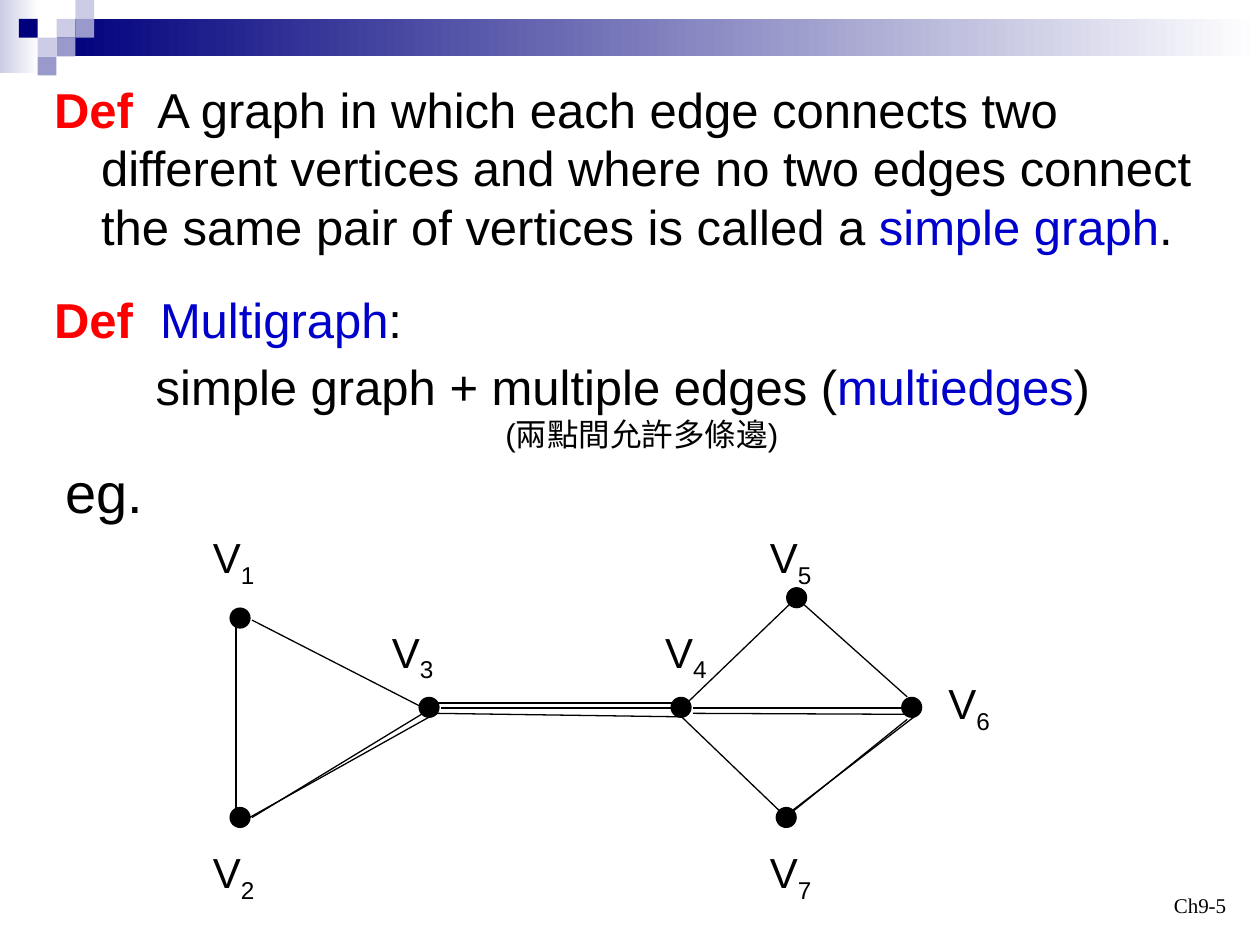
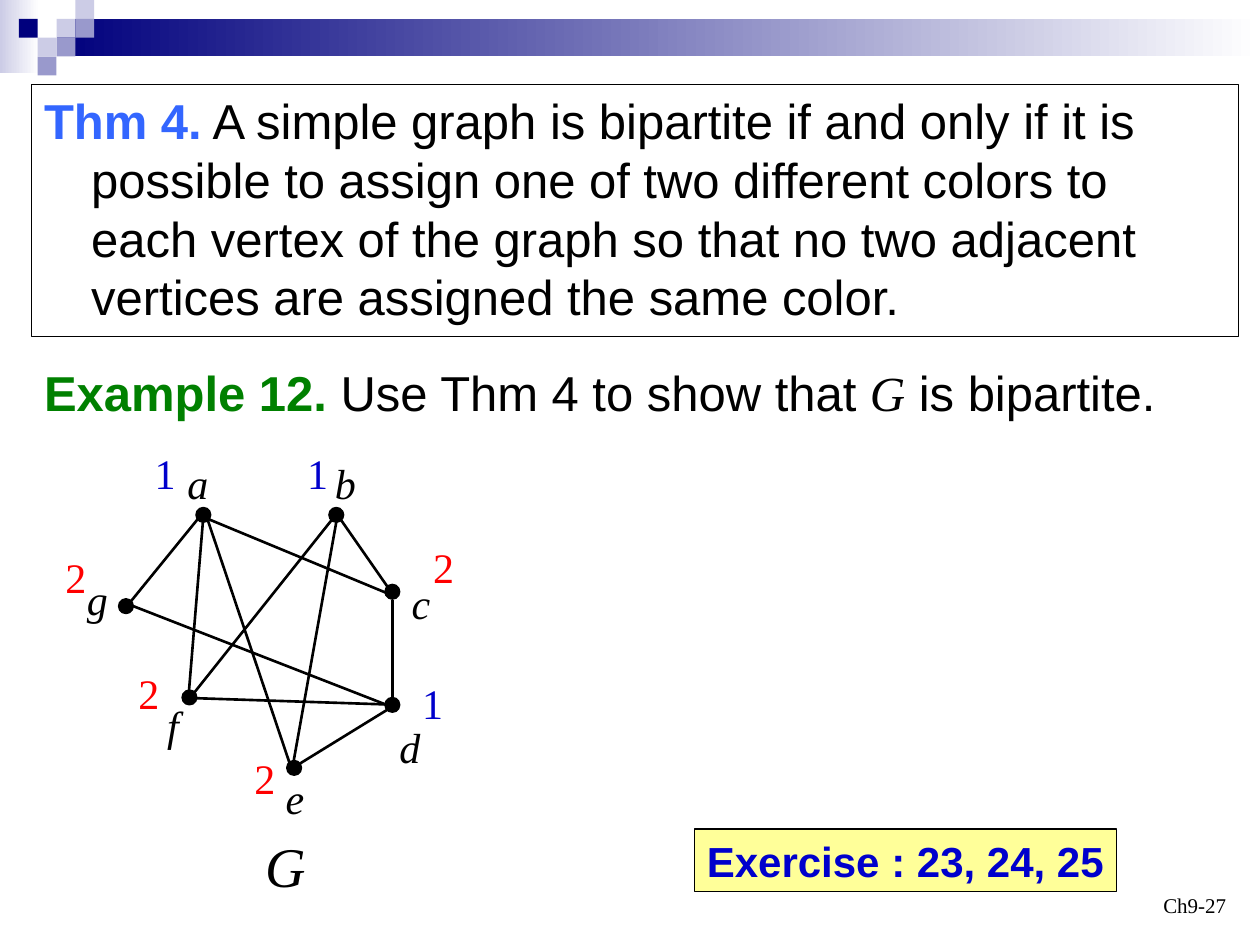
"""Build two lecture slides on multigraphs and bipartite graphs."""
from dataclasses import dataclass

from lxml.etree import SubElement
from pptx import Presentation
from pptx.dml.color import RGBColor
from pptx.enum.shapes import MSO_CONNECTOR, MSO_SHAPE
from pptx.enum.text import MSO_ANCHOR, PP_ALIGN
from pptx.oxml.ns import qn
from pptx.util import Cm, Pt


@dataclass(frozen=True)
class Theme:
    black: str = "000000"
    white: str = "FFFFFF"
    navy: str = "00007D"
    violet: str = "9999CC"
    lilac: str = "CCCCE6"
    red: str = "FF0000"
    blue: str = "0000CC"
    sky: str = "3366FF"
    green: str = "008000"
    yellow: str = "FFFF99"
    sans: str = "Arial"
    serif: str = "Times New Roman"
    large: int = 32
    body: int = 28
    label: int = 24
    remark: int = 18
    footer: int = 12
    thin: float = 0.75
    thick: float = 1.5


theme = Theme()


def add_shape(page, kind, place, fills=(), outline=None):
    """Add a preset shape with no fill, a plain fill or a two-colour gradient."""
    shape = page.shapes.add_shape(kind, *map(Cm, place))
    shape.shadow.inherit = False
    if len(fills) == 2:
        shape.fill.gradient()
        shape.fill.gradient_angle = 0
        for stop, color in zip(shape.fill.gradient_stops, fills):
            stop.color.rgb = RGBColor.from_string(color)
    elif fills:
        shape.fill.solid()
        shape.fill.fore_color.rgb = RGBColor.from_string(fills[0])
    else:
        shape.fill.background()
    if outline:
        shape.line.color.rgb = RGBColor.from_string(outline)
        shape.line.width = Pt(theme.thin)
    else:
        shape.line.fill.background()
    return shape


def write(box, paragraphs, wrap=False, **shared):
    """Fill a box with paragraphs of (text, style) spans and return them."""
    frame = box.text_frame
    frame.word_wrap = wrap
    frame.vertical_anchor = MSO_ANCHOR.TOP
    for number, spans in enumerate(paragraphs):
        para = frame.add_paragraph() if number else frame.paragraphs[0]
        para.alignment = PP_ALIGN.LEFT
        for text, own in spans:
            span = para.add_run()
            span.text = text
            style = {"size": theme.label, "face": theme.sans, "color": theme.black,
                     "bold": False, "italic": False, **shared, **own}
            font = para.font if len(spans) == 1 else span.font
            font.size = Pt(style["size"])
            font.name = style["face"]
            font.bold = style["bold"]
            font.italic = style["italic"]
            font.color.rgb = RGBColor.from_string(style["color"])
            if "baseline" in style:
                span.font._element.set("baseline", style["baseline"])
    return frame.paragraphs


deck = Presentation()
deck.slide_width, deck.slide_height = Cm(25.4), Cm(19.05)

tile = 0.38
tiles = [(3, 1, theme.lilac), (4, 0, theme.lilac), (4, 1, theme.violet),
         (2, 2, theme.lilac), (1, 1, theme.navy), (3, 2, theme.violet),
         (2, 3, theme.violet)]
pages = []
for footer in ("Ch9-5", "Ch9-27"):
    page = deck.slides.add_slide(deck.slide_layouts[6])
    pages.append(page)
    add_shape(page, MSO_SHAPE.RECTANGLE, (0, 0, 0.79, 1.47), (theme.lilac, theme.white))
    add_shape(page, MSO_SHAPE.RECTANGLE, (3 * tile, tile, 25.4 - 3 * tile, 2 * tile),
              (theme.navy, theme.white))
    for column, row, color in tiles:
        add_shape(page, MSO_SHAPE.RECTANGLE, (column * tile, row * tile, tile, tile), (color,))
    box = page.shapes.add_textbox(Cm(19.05), Cm(17.35), Cm(5.92), Cm(1.27))
    para = write(box, [[(footer, {})]], wrap=True, size=theme.footer, face=theme.serif)[0]
    para.alignment = PP_ALIGN.RIGHT
    box.text_frame.vertical_anchor = MSO_ANCHOR.BOTTOM
multigraph_page, bipartite_page = pages

multigraph_edges = [
    (5.08, 12.5, 8.79, 14.4), (8.61, 14.33, 5.08, 16.48), (4.76, 12.5, 4.76, 16.31),
    (8.89, 14.27, 13.54, 14.27), (13.87, 14.15, 15.93, 12.17), (16.21, 12.19, 18.29, 14.05),
    (18.29, 14.5, 15.98, 16.36), (13.74, 14.45, 15.75, 16.38), (5.03, 16.48, 8.66, 14.45),
    (8.79, 14.38, 13.72, 14.45), (8.66, 14.17, 13.77, 14.17), (13.97, 14.27, 18.21, 14.27),
    (13.97, 14.38, 18.39, 14.4), (18.52, 14.38, 15.88, 16.41)]
bipartite_edges = [
    (6.88, 10.49, 7.82, 11.84), (7.91, 12.09, 7.91, 14.07), (6.68, 10.49, 3.91, 13.97),
    (5.92, 15.34, 6.78, 10.52), (2.64, 12.12, 3.99, 10.46), (4.19, 10.46, 8, 12.04),
    (4.19, 10.49, 5.84, 15.39), (4.09, 10.52, 3.81, 13.92), (2.69, 12.22, 7.77, 14.2),
    (3.81, 14.07, 7.77, 14.2), (6.05, 15.39, 7.82, 14.3)]
multigraph_dots = [(4.84, 12.46), (4.84, 16.48), (8.65, 14.26), (13.73, 14.26),
                   (16.06, 12.05), (18.38, 14.26), (15.85, 16.48)]
bipartite_dots = [(4.1, 10.38), (6.78, 10.38), (7.91, 11.93), (7.91, 14.21),
                  (5.93, 15.48), (3.82, 14.06), (2.54, 12.22)]
graphs = [(multigraph_page, multigraph_edges, theme.thin, multigraph_dots, 0.4),
          (bipartite_page, bipartite_edges, theme.thick, bipartite_dots, 0.3)]
for page, edges, weight, dots, diameter in graphs:
    for ends in edges:
        edge = page.shapes.add_connector(MSO_CONNECTOR.STRAIGHT, *map(Cm, ends))
        edge.line.color.rgb = RGBColor.from_string(theme.black)
        edge.line.width = Pt(weight)
        SubElement(edge._element.spPr, qn("a:effectLst"))
    for x, y in dots:
        place = (x - diameter / 2, y - diameter / 2, diameter, diameter)
        add_shape(page, MSO_SHAPE.OVAL, place, (theme.black,), theme.black)

vertex_labels = [(4.04, 10.59), (4.04, 16.94), (7.65, 12.5), (13.16, 12.5),
                 (15.27, 10.59), (18.87, 13.54), (15.27, 16.94)]
for number, (left, top) in enumerate(vertex_labels, 1):
    box = multigraph_page.shapes.add_textbox(Cm(left), Cm(top), Cm(1.35), Cm(1.42))
    write(box, [[("V", {}), (str(number), {"baseline": "-25000"})]])

red_bold = {"color": theme.red, "bold": True}
blue = {"color": theme.blue}
box = multigraph_page.shapes.add_textbox(Cm(0.84), Cm(1.47), Cm(23.93), Cm(4.01))
simple_graph = write(box, [[
    ("Def ", red_bold),
    (" A graph in which each edge connects two different vertices and where no two edges "
     "connect the same pair of vertices is called a ", {}),
    ("simple graph", blue), (".", {})]], wrap=True, size=theme.body)[0]

box = multigraph_page.shapes.add_textbox(Cm(0.84), Cm(5.72), Cm(22.86), Cm(3.81))
multigraph, formula, remark = write(box, [
    [("Def ", red_bold), (" Multigraph", blue), (":", {})],
    [("simple graph + multiple edges (", {}), ("multiedges", blue), (")", {})],
    [("(兩點間允許多條邊)", {"size": theme.remark})]], wrap=True, size=theme.body)

box = multigraph_page.shapes.add_textbox(Cm(1.07), Cm(9.09), Cm(2.08), Cm(1.63))
write(box, [[("eg.", {})]], size=theme.large)

box = add_shape(bipartite_page, MSO_SHAPE.RECTANGLE, (0.64, 1.7, 24.33, 5.08),
                outline=theme.black)
theorem = write(box, [[
    ("Thm 4.", {"color": theme.sky, "bold": True}),
    (" A simple graph is bipartite if and only if it is possible to assign one of two "
     "different colors to each vertex of the graph so that no two adjacent vertices are "
     "assigned the same color.", {})]], wrap=True, size=theme.body)[0]

box = bipartite_page.shapes.add_textbox(Cm(0.64), Cm(7.19), Cm(24.33), Cm(1.7))
example = write(box, [[
    ("Example 12.", {"color": theme.green, "bold": True}),
    (" Use Thm 4 to show that ", {}), ("G", {"face": theme.serif, "italic": True}),
    (" is bipartite.", {})]], wrap=True, size=theme.body)[0]

hang = 0.95
for para, margin, indent, before in [
        (simple_graph, hang, -hang, 7), (multigraph, hang, -hang, 7),
        (formula, 2.05, 0, 4.5), (remark, 9.1, 0, 0),
        (theorem, hang, -hang, 7), (example, hang, -hang, 7)]:
    para.space_before = Pt(before)
    properties = para._p.get_or_add_pPr()
    properties.set("marL", str(Cm(margin)))
    properties.set("indent", str(Cm(indent)))

class_colors = {"1": theme.blue, "2": theme.red}
vertices = [("a", 3.53, 9.09, "1", 2.87, 8.89), ("b", 6.5, 9.09, "1", 5.94, 8.89),
            ("c", 8.05, 11.51, "2", 8.48, 10.8), ("d", 7.8, 14.43, "1", 8.26, 13.54),
            ("e", 5.51, 15.44, "2", 4.88, 15.04), ("f", 3.12, 13.97, "2", 2.54, 13.34),
            ("g", 1.5, 11.43, "2", 1.07, 11)]
for name, name_left, name_top, group, group_left, group_top in vertices:
    width = 0.74 if name == "f" else 0.91
    box = bipartite_page.shapes.add_textbox(Cm(name_left), Cm(name_top), Cm(width), Cm(1.27))
    write(box, [[(name, {})]], face=theme.serif, italic=True)
    box = bipartite_page.shapes.add_textbox(Cm(group_left), Cm(group_top), Cm(0.91), Cm(1.27))
    write(box, [[(group, {})]], face=theme.serif, color=class_colors[group])

box = bipartite_page.shapes.add_textbox(Cm(5.11), Cm(16.64), Cm(1.32), Cm(1.63))
write(box, [[("G", {})]], size=theme.large, face=theme.serif, italic=True)

box = add_shape(bipartite_page, MSO_SHAPE.RECTANGLE, (14, 16.71, 8.51, 1.27),
                (theme.yellow,), theme.black)
write(box, [[("Exercise : 23, 24, 25", {})]], color=theme.blue, bold=True)

deck.save("out.pptx")
